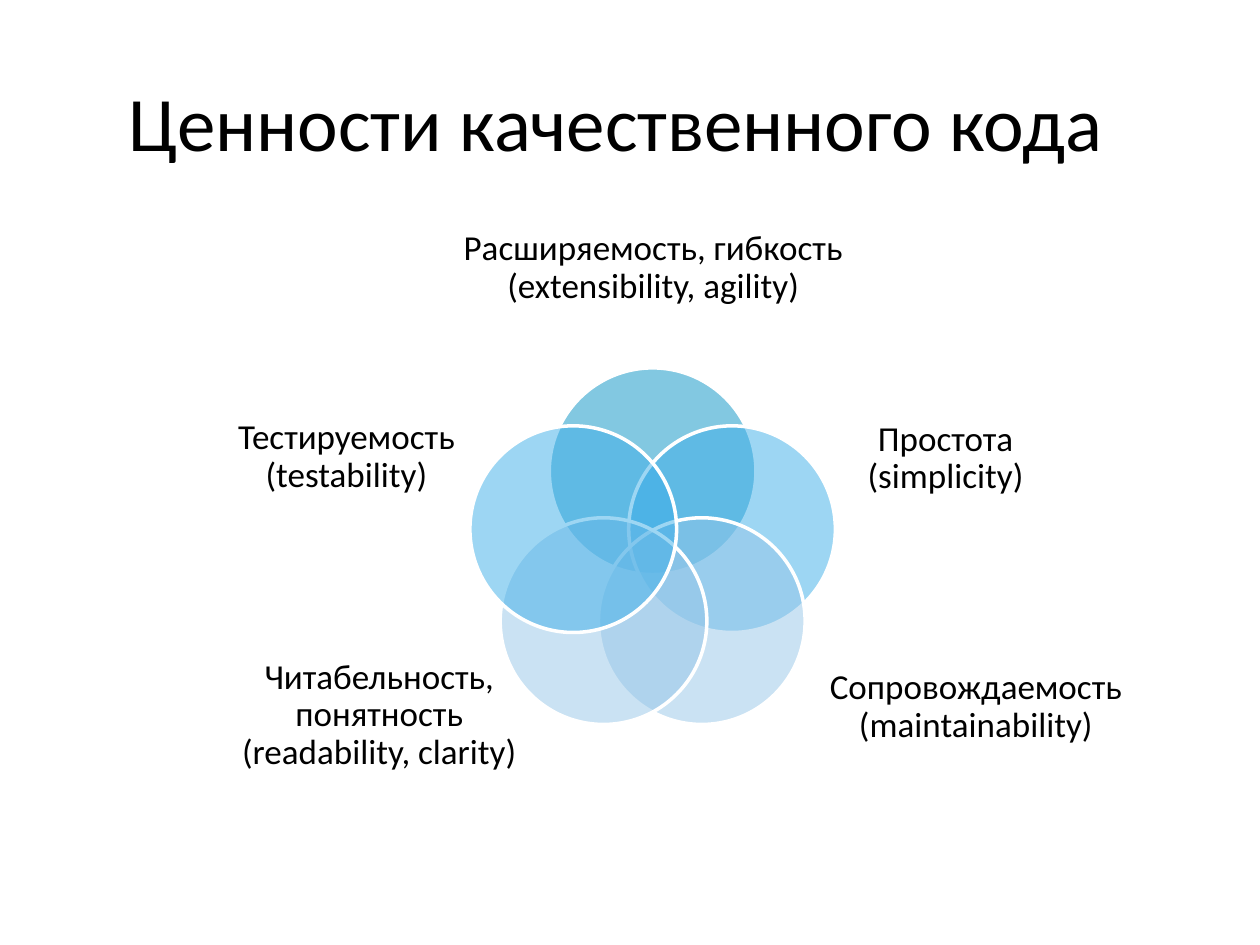
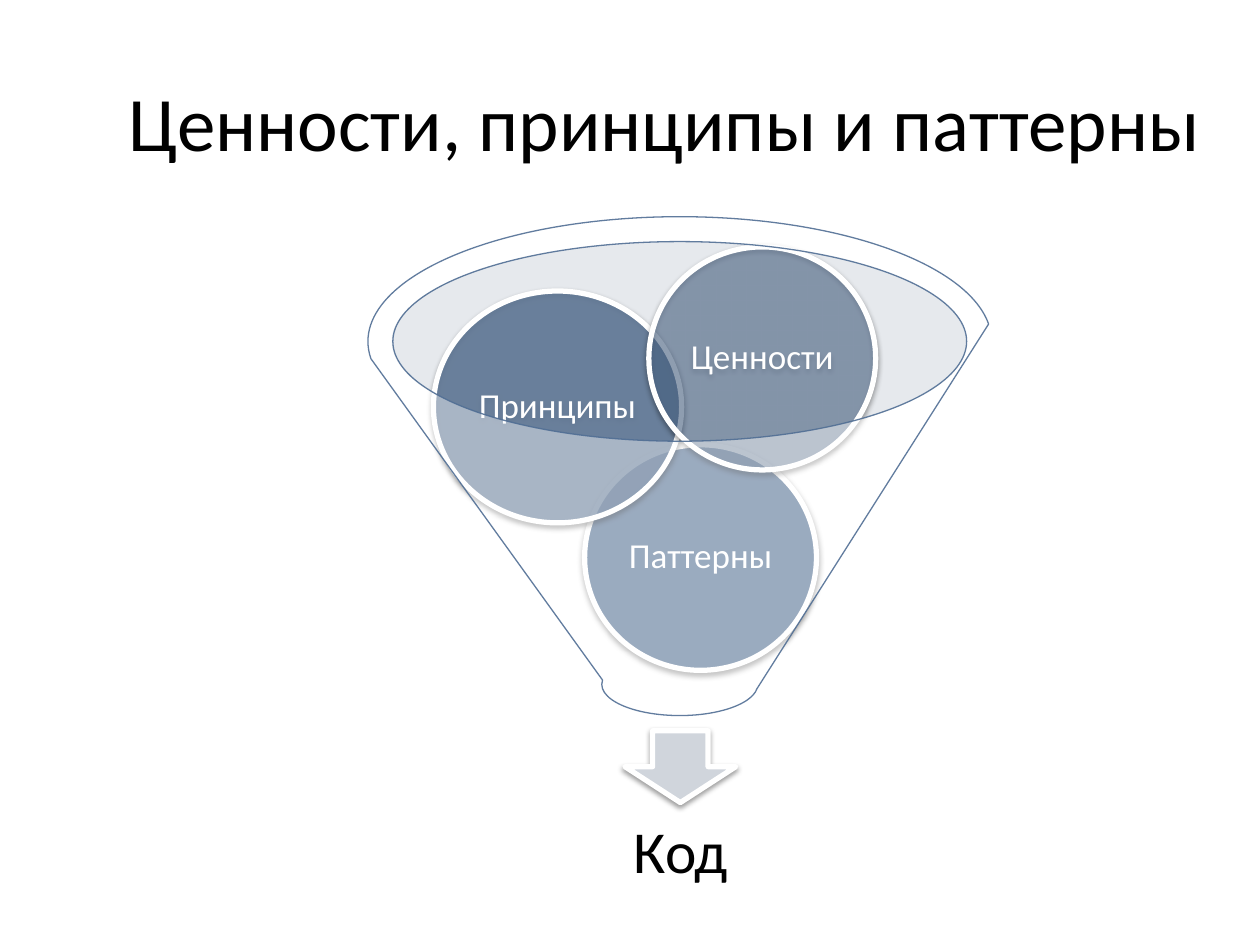
from dataclasses import dataclass
from math import cos, radians, sin

from lxml.etree import SubElement
from pptx import Presentation
from pptx.dml.color import RGBColor as RGB
from pptx.enum.shapes import MSO_SHAPE as SHAPE
from pptx.enum.text import MSO_ANCHOR as ANCHOR, PP_ALIGN as ALIGN
from pptx.oxml.ns import qn
from pptx.util import Pt

PX = 9144  # EMU in one px, 100 px to the inch


@dataclass(frozen=True)
class Theme:
    font: str = "Calibri"
    ink: str = "000000"
    white: str = "FFFFFF"
    teal: str = "0792C5"
    sky: str = "3DAEE8"
    pale: str = "96C6E8"
    steel: str = "506E94"
    mist: str = "C2C8D2"
    arrow: str = "D0D5DC"
    title_size: int = 44
    result_size: int = 34
    label_size: int = 20


THEME = Theme()


def write(tf, text, *, size, color=THEME.ink, align=ALIGN.CENTER, spacing=0.9):
    tf.word_wrap = True
    tf.vertical_anchor = ANCHOR.MIDDLE
    p = tf.paragraphs[0]
    p.alignment = align
    p.line_spacing = spacing
    r = p.add_run()
    r.text = text
    r.font.name = THEME.font
    r.font.size = Pt(size)
    r.font.color.rgb = RGB.from_string(color)


def set_margins(tf, px):
    tf.margin_left = tf.margin_top = tf.margin_right = tf.margin_bottom = px * PX


def set_opacity(parent, percent):
    """Make the solid fill directly under parent partly transparent."""
    color = parent.find(qn("a:solidFill"))[0]
    SubElement(color, qn("a:alpha"), val=str(percent * 1000))


def add_shadow(sp):
    """Drop a soft black shadow straight down."""
    effects = sp.element.spPr.find(qn("a:effectLst"))
    outer = SubElement(effects, qn("a:outerShdw"), blurRad=str(Pt(3.1)),
                       dist=str(Pt(1.6)), dir="5400000", rotWithShape="0")
    color = SubElement(outer, qn("a:srgbClr"), val=THEME.ink)
    SubElement(color, qn("a:alpha"), val="38000")


class Deck:
    def __init__(self, theme):
        self.theme = theme
        self.prs = Presentation()
        self.prs.slide_width, self.prs.slide_height = 1000 * PX, 750 * PX
        self.slide = None

    def add_slide(self, title):
        self.slide = self.prs.slides.add_slide(self.prs.slide_layouts[5])
        sp = self.slide.shapes.title
        sp.left, sp.top, sp.width, sp.height = (n * PX for n in (92, 33, 883, 125))
        write(sp.text_frame, title, size=self.theme.title_size,
              align=ALIGN.LEFT, spacing=1.0)

    def label(self, box, text, size=THEME.label_size):
        sp = self.slide.shapes.add_textbox(*(n * PX for n in box))
        set_margins(sp.text_frame, 0)
        write(sp.text_frame, text, size=size)

    def shape(self, kind, box, fill, opacity=100, line=None, line_width=0,
              line_opacity=100, shadow=False):
        sp = self.slide.shapes.add_shape(kind, *(n * PX for n in box))
        sp.shadow.inherit = False
        sp.fill.solid()
        sp.fill.fore_color.rgb = RGB.from_string(fill)
        set_opacity(sp.element.spPr, opacity)
        if line:
            sp.line.color.rgb = RGB.from_string(line)
            sp.line.width = Pt(line_width)
            set_opacity(sp.element.spPr.find(qn("a:ln")), line_opacity)
        else:
            sp.line.fill.background()
        if shadow:
            add_shadow(sp)
        return sp

    def ball(self, box, text, opacity):
        sp = self.shape(SHAPE.OVAL, box, self.theme.steel, opacity,
                        self.theme.white, 3, shadow=True)
        set_margins(sp.text_frame, 3)
        write(sp.text_frame, text, size=self.theme.label_size,
              color=self.theme.white)


def values_slide(deck):
    deck.add_slide("Ценности качественного кода")
    t = deck.theme
    center_x, center_y, orbit, diameter = 518, 440, 66, 164
    # Clockwise from the top
    values = [
        (t.teal, (355, 176, 327, 74), "Расширяемость, гибкость (extensibility, agility)"),
        (t.sky, (665, 304, 171, 120), "Простота (simplicity)"),
        (t.pale, (642, 501, 265, 120), "Сопровождаемость (maintainability)"),
        (t.pale, (172, 508, 258, 120), "Читабельность, понятность (readability, clarity)"),
        (t.sky, (178, 303, 194, 120), "Тестируемость (testability)"),
    ]
    for i, (color, label_box, text) in enumerate(values):
        angle = radians(360 / len(values) * i - 90)
        left = round(center_x + orbit * cos(angle) - diameter / 2)
        top = round(center_y + orbit * sin(angle) - diameter / 2)
        deck.shape(SHAPE.OVAL, (left, top, diameter, diameter), color, 50, t.white, 2)
        deck.label(label_box, text)


def funnel_slide(deck):
    deck.add_slide("Ценности, принципы и паттерны")
    t = deck.theme
    deck.shape(SHAPE.OVAL, (311, 192, 456, 158), t.mist, 40)
    deck.shape(SHAPE.DOWN_ARROW, (496, 580, 88, 57), t.arrow, line=t.white,
               line_width=3, shadow=True)
    deck.label((328, 625, 425, 106), "Код", t.result_size)
    deck.ball((464, 353, 184, 179), "Паттерны", 90)
    deck.ball((344, 231, 197, 184), "Принципы", 70)
    deck.ball((515, 196, 180, 177), "Ценности", 50)
    deck.shape(SHAPE.FUNNEL, (292, 172, 495, 396), t.white, 40, t.steel, 0.75, 90)


def main():
    deck = Deck(THEME)
    values_slide(deck)
    funnel_slide(deck)
    deck.prs.save("out.pptx")


if __name__ == "__main__":
    main()
